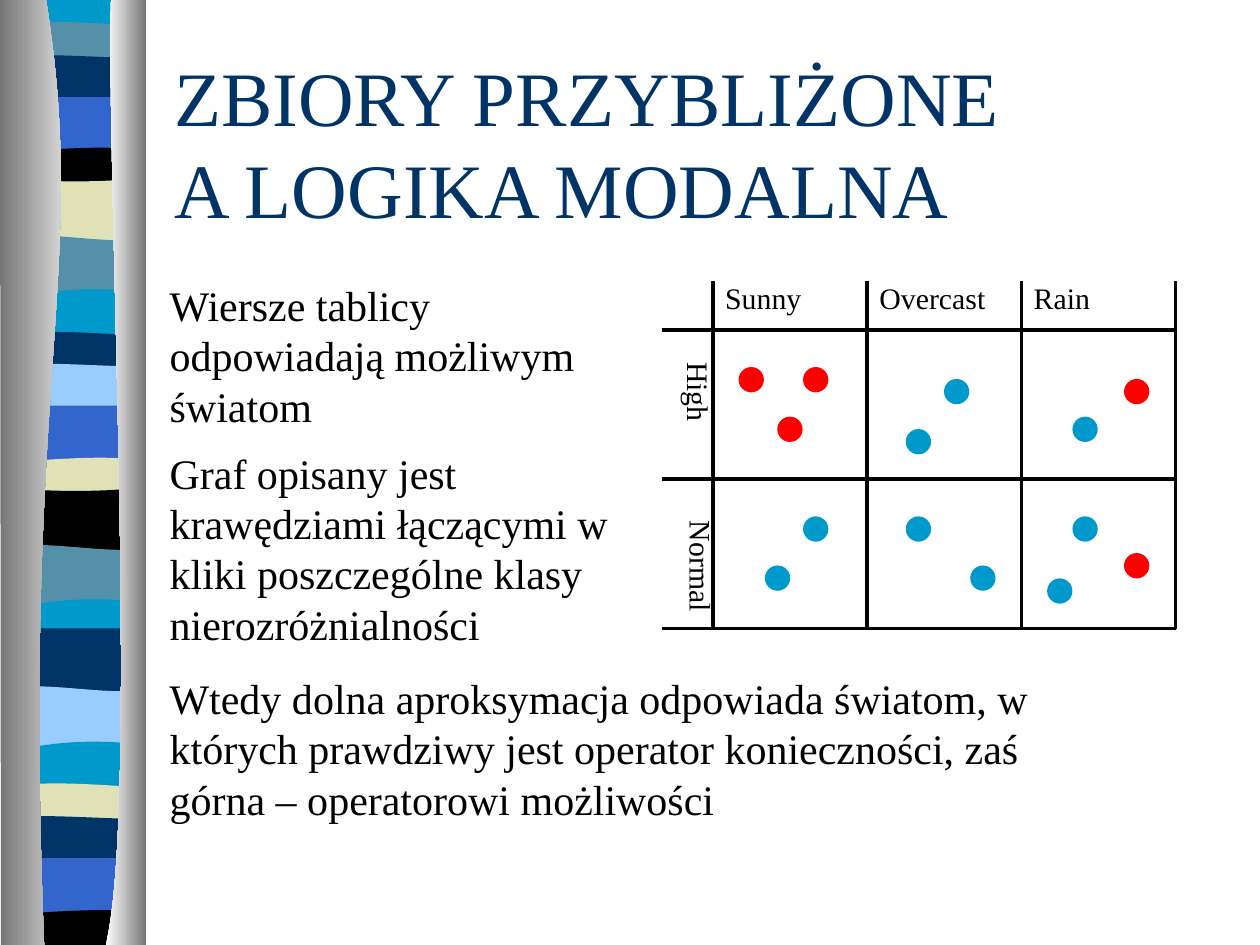
from dataclasses import dataclass
from typing import Optional

from lxml import etree
from pptx import Presentation
from pptx.dml.color import RGBColor
from pptx.enum import shapes, text
from pptx.oxml.ns import qn
from pptx.util import Cm, Pt

COLORS = {
    "black": "000000", "navy": "003366", "blue": "3366CC", "cyan": "0099CC",
    "teal": "5490A8", "sand": "E1E1B7", "sky": "99CCFF", "red": "FF0000",
    "shade": "767676", "white": "FFFFFF",
}
FONT = "Times New Roman"
LINE_FACTOR = 1.2
WIDTH, HEIGHT = 25.4, 19.05
RIBBON_LEFT, RIBBON_RIGHT = 0.15, 2.9

# Control points of a stripe's upper edge: share of the width, vertical offset
WAVES = {
    "flat": ((0.33, 0), (0.67, 0)),
    "crest": ((0.2, -0.13), (0.5, -0.1)),
    "lift": ((0.14, -0.13), (0.67, 0)),
    "peak": ((0.3, -0.05), (0.83, -0.18)),
    "trough": ((0.17, 0.13), (0.83, 0.13)),
    "swell": ((0.31, -0.14), (0.83, 0.2)),
    "dip": ((0.17, 0.2), (0.31, -0.2)),
}


@dataclass
class Stripe:
    top: float
    wave: str
    color: str


@dataclass
class Label:
    words: str
    left: float
    top: float
    width: float
    height: float
    size: float
    vertical: bool = False


@dataclass
class Dot:
    left: float
    top: float
    color: str = "cyan"


STRIPES = [
    Stripe(0, "flat", "cyan"), Stripe(0.53, "crest", "teal"),
    Stripe(1.17, "lift", "navy"), Stripe(1.96, "flat", "blue"),
    Stripe(3.07, "peak", "black"), Stripe(3.56, "trough", "sand"),
    Stripe(4.78, "swell", "teal"), Stripe(5.89, "dip", "cyan"),
    Stripe(6.78, "crest", "navy"), Stripe(7.39, "lift", "sky"),
    Stripe(8.18, "flat", "blue"), Stripe(9.32, "peak", "sand"),
    Stripe(9.8, "trough", "black"), Stripe(11.02, "swell", "teal"),
    Stripe(12.14, "dip", "cyan"), Stripe(12.67, "flat", "navy"),
    Stripe(13.87, "swell", "sky"), Stripe(15.01, "dip", "cyan"),
    Stripe(15.88, "crest", "sand"), Stripe(16.51, "lift", "navy"),
    Stripe(17.3, "flat", "blue"), Stripe(18.44, "peak", "black"),
]

GRID_LEFT, GRID_TOP = 13.34, 5.66
COLUMNS = [14.37 + 3.11 * column for column in range(4)]
ROWS = [6.65 + 3.01 * row for row in range(3)]
DOT_SIZE = 0.51

LABELS = [
    Label(words, left, 5.51, 2.85, 1, 17)
    for words, left in zip(("Sunny", "Overcast", "Rain"), COLUMNS)
] + [
    Label("Normal", 13.41, 10.25, 1.22, 2.66, 17, vertical=True),
    Label("High", 13.36, 7.05, 1.22, 1.86, 17, vertical=True),
]

STATEMENTS = [
    Label("Wiersze tablicy odpowiadają możliwym światom",
          3.17, 5.51, 9.73, 3.3, 24),
    Label("Graf opisany jest krawędziami łączącymi w kliki poszczególne "
          "klasy nierozróżnialności", 3.17, 8.89, 9.53, 4.32, 24),
    Label("Wtedy dolna aproksymacja odpowiada światom, w których prawdziwy "
          "jest operator konieczności, zaś górna – operatorowi możliwości",
          3.17, 13.43, 19.25, 3.3, 24),
]

DOTS = [
    Dot(19.03, 7.64), Dot(19.56, 11.4), Dot(21.62, 10.41), Dot(18.26, 10.41),
    Dot(16.19, 10.41), Dot(21.11, 11.66), Dot(15.42, 11.4), Dot(18.26, 8.65),
    Dot(21.62, 8.4),
    Dot(16.19, 7.4, "red"), Dot(15.67, 8.4, "red"), Dot(14.89, 7.4, "red"),
    Dot(22.66, 11.15, "red"), Dot(22.66, 7.64, "red"),
]


def rgb(name: str) -> RGBColor:
    return RGBColor.from_string(COLORS[name])


def add_outline(group, curve: list, corners: list, color: str,
                end_color: Optional[str] = None):
    """Draw one cubic curve closed by straight sides, plain or with a gradient."""
    points = [(Cm(x), Cm(y)) for x, y in curve + corners]
    builder = group.shapes.build_freeform(*points[0])
    builder.add_line_segments(points[1:], close=True)
    shape = builder.convert_to_shape()
    segments = list(shape.element.iter(qn("a:lnTo")))[:3]
    bend = etree.Element(qn("a:cubicBezTo"))
    segments[0].addprevious(bend)
    for segment in segments:
        bend.append(segment[0])
        segment.getparent().remove(segment)
    shape.shadow.inherit = False
    shape.line.fill.background()
    if end_color is None:
        shape.fill.solid()
        shape.fill.fore_color.rgb = rgb(color)
        return
    shape.fill.gradient()
    shape.fill.gradient_angle = 0
    for stop, name in zip(shape.fill.gradient_stops, (color, end_color)):
        stop.color.rgb = rgb(name)


def add_ribbon(group):
    span = RIBBON_RIGHT - RIBBON_LEFT
    ends = [stripe.top + 0.2 for stripe in STRIPES[1:]] + [HEIGHT]
    for stripe, bottom in zip(STRIPES, ends):
        controls = [(RIBBON_LEFT + span * share, stripe.top + offset)
                    for share, offset in WAVES[stripe.wave]]
        edge = [(RIBBON_LEFT, stripe.top), *controls, (RIBBON_RIGHT, stripe.top)]
        add_outline(group, edge, [(RIBBON_RIGHT, bottom), (RIBBON_LEFT, bottom)],
                    stripe.color)
    add_outline(group, [(0.93, 0), (1.8, 5.49), (0.43, 7.52), (0.89, HEIGHT)],
                [(0.02, HEIGHT), (0, 0)], "shade", "white")
    add_outline(group, [(2.24, 0), (2.13, 3.18), (2.82, 16.41), (2.13, HEIGHT)],
                [(2.95, HEIGHT), (2.95, 0)], "white", "shade")


def write(frame, words: str, size: float, color: str):
    frame.word_wrap = True
    frame.auto_size = text.MSO_AUTO_SIZE.NONE
    paragraph = frame.paragraphs[0]
    paragraph.alignment = text.PP_ALIGN.LEFT
    paragraph.line_spacing = Pt(size * LINE_FACTOR)
    run = paragraph.add_run()
    run.text = words
    run.font.name = FONT
    run.font.size = Pt(size)
    run.font.color.rgb = rgb(color)


def add_label(parent, label: Label):
    box = parent.shapes.add_textbox(Cm(label.left), Cm(label.top),
                                    Cm(label.width), Cm(label.height))
    frame = box.text_frame
    if label.vertical:
        frame.margin_left = frame.margin_right = Cm(0.13)
        frame.margin_top = frame.margin_bottom = Cm(0.25)
        box.element.txBody.find(qn("a:bodyPr")).set("vert", "eaVert")
    write(frame, label.words, label.size, "black")


def add_rule(group, x1: float, y1: float, x2: float, y2: float):
    rule = group.shapes.add_connector(shapes.MSO_CONNECTOR.STRAIGHT,
                                      Cm(x1), Cm(y1), Cm(x2), Cm(y2))
    rule.line.color.rgb = rgb("black")
    rule.line.width = Pt(2)
    etree.SubElement(rule.element.spPr, qn("a:effectLst"))


def add_dot(group, dot: Dot):
    shape = group.shapes.add_shape(shapes.MSO_SHAPE.OVAL, Cm(dot.left), Cm(dot.top),
                                   Cm(DOT_SIZE), Cm(DOT_SIZE))
    shape.shadow.inherit = False
    shape.fill.solid()
    shape.fill.fore_color.rgb = rgb(dot.color)
    shape.line.fill.background()


def add_diagram(group):
    for x in COLUMNS:
        add_rule(group, x, GRID_TOP, x, ROWS[-1])
    for y in ROWS:
        add_rule(group, GRID_LEFT, y, COLUMNS[-1], y)
    for label in LABELS:
        add_label(group, label)
    for dot in DOTS:
        add_dot(group, dot)


def main():
    presentation = Presentation()
    presentation.slide_width, presentation.slide_height = Cm(WIDTH), Cm(HEIGHT)
    slide = presentation.slides.add_slide(presentation.slide_layouts[5])
    ribbon = slide.shapes.add_group_shape()
    add_ribbon(ribbon)
    # The ribbon is decoration shared by every slide, so it lives on the master
    presentation.slide_master.shapes.element.insert(2, ribbon.element)
    add_diagram(slide.shapes.add_group_shape())
    title = slide.shapes.title
    title.left, title.top, title.width, title.height = (
        Cm(3.26), Cm(1.27), Cm(17.91), Cm(3.18))
    title.text_frame.vertical_anchor = text.MSO_ANCHOR.MIDDLE
    write(title.text_frame, "ZBIORY PRZYBLIŻONE A LOGIKA MODALNA", 44, "navy")
    for statement in STATEMENTS:
        add_label(slide, statement)
    presentation.save("out.pptx")


if __name__ == "__main__":
    main()
